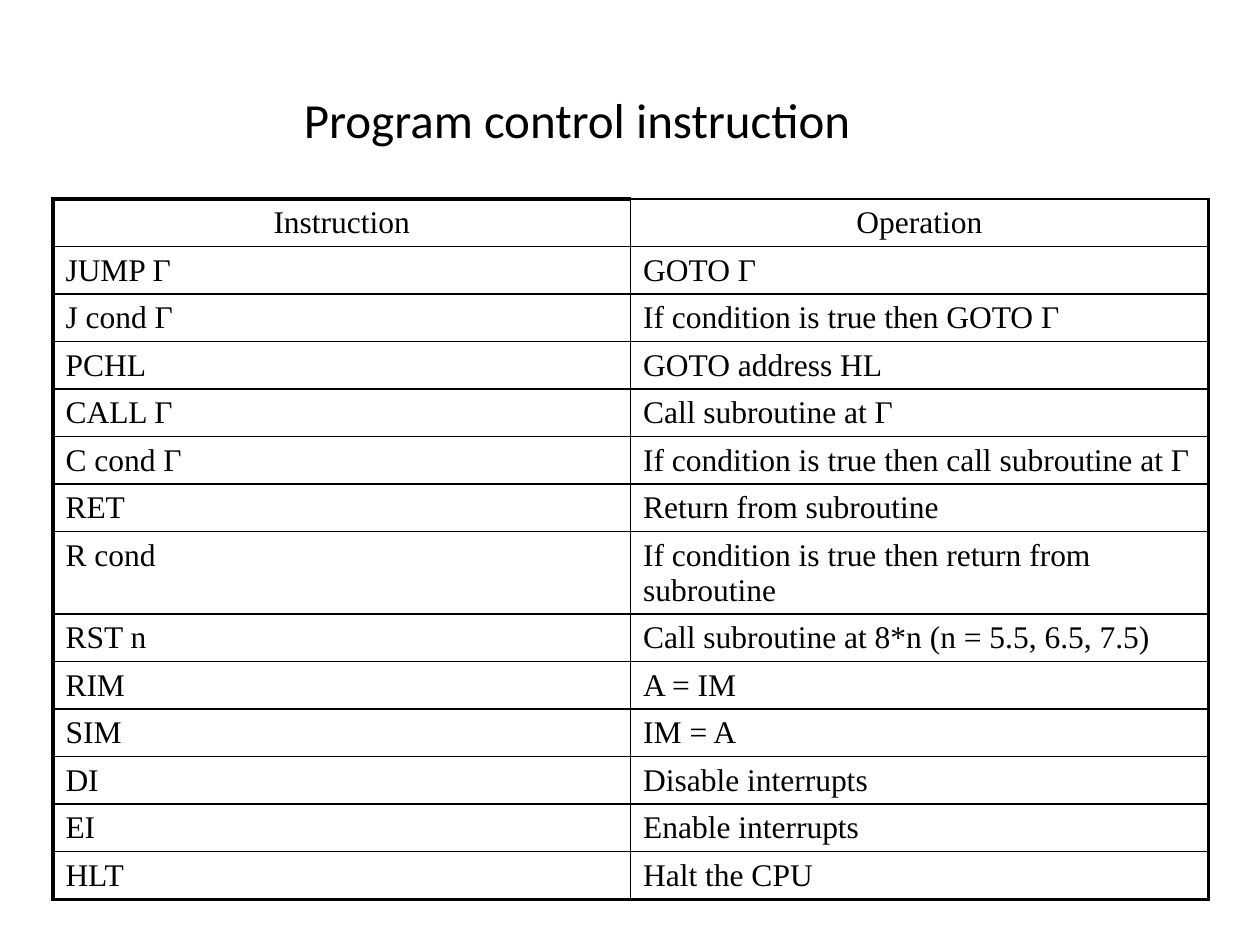
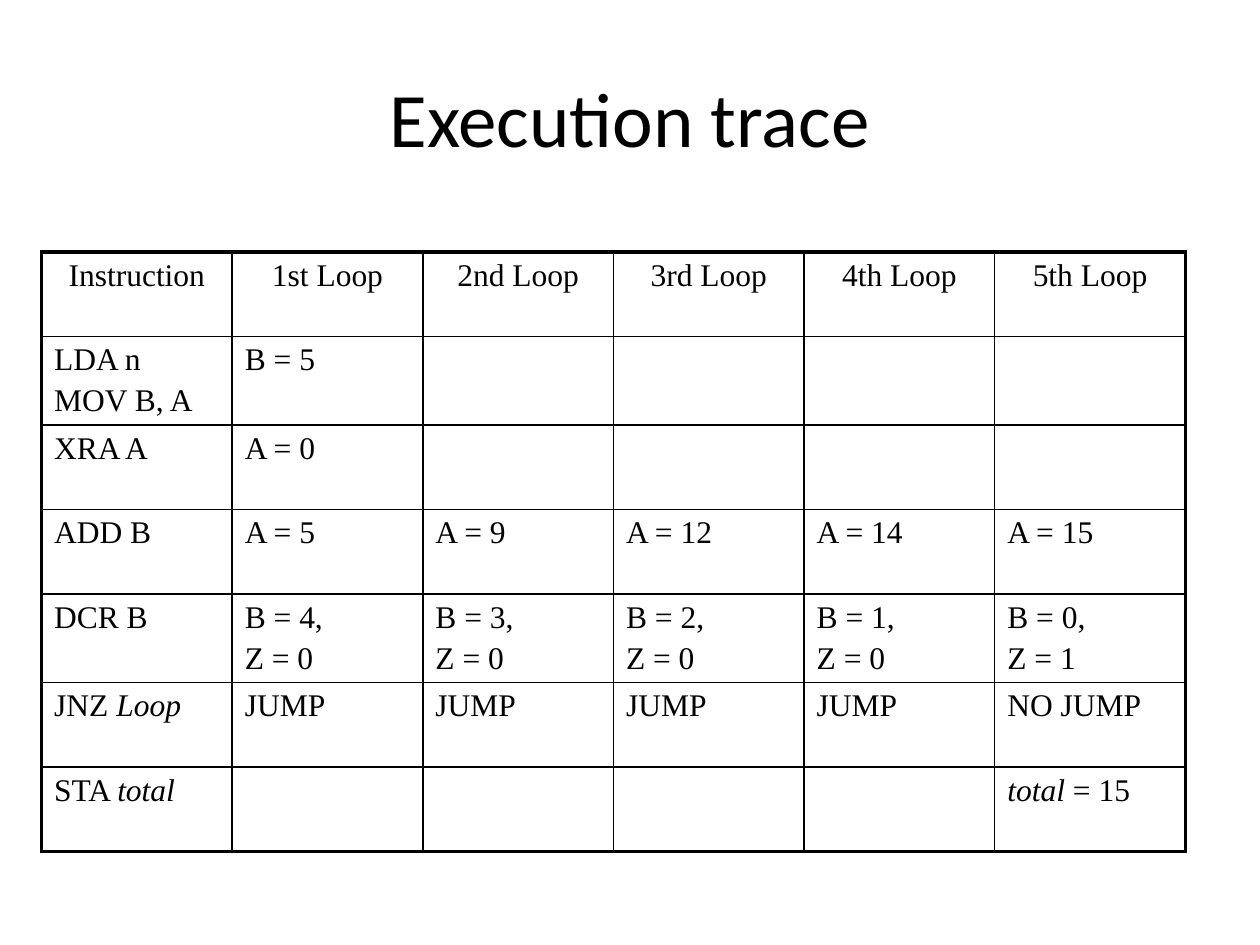
from lxml.etree import SubElement
from pptx import Presentation
from pptx.dml.color import RGBColor
from pptx.enum.text import MSO_ANCHOR, PP_ALIGN
from pptx.oxml.ns import qn
from pptx.util import Inches, Pt

COLORS = {"text": "000000", "border": "000000"}
TITLE_FONT = "Calibri"
TABLE_FONT = "Times New Roman"
TABLE_SIZE = 18
THIN, THICK = Pt(1), Pt(2.25)
TITLE_ONLY_LAYOUT = 5

CONTROL_ROWS = [
    ["Instruction", "Operation"],
    ["JUMP Γ", "GOTO Γ"],
    ["J cond Γ", "If condition is true then GOTO Γ"],
    ["PCHL", "GOTO address HL"],
    ["CALL Γ", "Call subroutine at Γ"],
    ["C cond Γ", "If condition is true then call subroutine at Γ"],
    ["RET", "Return from subroutine"],
    ["R cond", "If condition is true then return from subroutine"],
    ["RST n", "Call subroutine at 8*n (n = 5.5, 6.5, 7.5)"],
    ["RIM", "A = IM"],
    ["SIM", "IM = A"],
    ["DI", "Disable interrupts"],
    ["EI", "Enable interrupts"],
    ["HLT", "Halt the CPU"],
]

# Underscores enclose italic words; a line break starts a new paragraph.
TRACE_ROWS = [
    ["Instruction", "1st Loop", "2nd Loop", "3rd Loop", "4th Loop", "5th Loop"],
    ["LDA n\nMOV B, A", "B = 5", "", "", "", ""],
    ["XRA A", "A = 0", "", "", "", ""],
    ["ADD B", "A = 5", "A = 9", "A = 12", "A = 14", "A = 15"],
    ["DCR B", "B = 4,\nZ = 0", "B = 3,\nZ = 0", "B = 2,\nZ = 0",
     "B = 1,\nZ = 0", "B = 0,\nZ = 1"],
    ["JNZ _Loop_", "JUMP", "JUMP", "JUMP", "JUMP", "NO JUMP"],
    ["STA _total_", "", "", "", "", "_total_ = 15"],
]


def apply_format(target, values):
    """Set every attribute named in values on the target."""
    for name, value in values.items():
        setattr(target, name, value)


def format_font(font, name, size, italic=False):
    """Give a font its face, size, slant and the text colour."""
    apply_format(font, {"name": name, "size": Pt(size), "bold": False,
                        "italic": italic})
    font.color.rgb = RGBColor.from_string(COLORS["text"])


def add_title(slide, text, box, size, anchor, line_spacing=1.0):
    """Fill and place the title placeholder."""
    title = slide.shapes.title
    left, top, width, height = (Inches(length) for length in box)
    apply_format(title, {"left": left, "top": top,
                         "width": width, "height": height})
    apply_format(title.text_frame, {"text": text, "word_wrap": True,
                                    "vertical_anchor": anchor})
    paragraph = title.text_frame.paragraphs[0]
    apply_format(paragraph, {"alignment": PP_ALIGN.CENTER,
                             "line_spacing": line_spacing})
    format_font(paragraph.runs[0].font, TITLE_FONT, size)


def set_borders(cell, widths):
    """Draw solid cell borders; widths maps the sides L, R, T, B to lengths."""
    properties = cell._tc.get_or_add_tcPr()
    for side in "LRTB":
        line = SubElement(properties, qn(f"a:ln{side}"), w=str(widths[side]))
        fill = SubElement(line, qn("a:solidFill"))
        SubElement(fill, qn("a:srgbClr"), val=COLORS["border"])


def fill_cell(cell, text, alignment):
    """Write the paragraphs of a cell, with italic parts."""
    for index, line in enumerate(text.split("\n")):
        frame = cell.text_frame
        paragraph = frame.add_paragraph() if index else frame.paragraphs[0]
        apply_format(paragraph, {"alignment": alignment,
                                 "space_before": Pt(0.2 * TABLE_SIZE)})
        format_font(paragraph.font, TABLE_FONT, TABLE_SIZE)
        for part, words in enumerate(line.split("_")):
            if words:
                run = paragraph.add_run()
                run.text = words
                format_font(run.font, TABLE_FONT, TABLE_SIZE, part % 2 == 1)


def add_grid(slide, rows, left, top, width, row_height, thick_top_columns):
    """Add a plain table with thin inner lines and a thick outline."""
    row_count, column_count = len(rows), len(rows[0])
    table = slide.shapes.add_table(
        row_count, column_count, Inches(left), Inches(top),
        Inches(width), Inches(row_height * row_count)).table
    apply_format(table, {"first_row": False, "horz_banding": False})
    for row_index, row in enumerate(rows):
        alignment = PP_ALIGN.LEFT if row_index else PP_ALIGN.CENTER
        for column_index, text in enumerate(row):
            cell = table.cell(row_index, column_index)
            thick = {
                "L": column_index == 0,
                "R": column_index == column_count - 1,
                "T": row_index == 0 and column_index < thick_top_columns,
                "B": row_index == row_count - 1,
            }
            set_borders(cell, {side: THICK if is_thick else THIN
                               for side, is_thick in thick.items()})
            cell.fill.background()
            fill_cell(cell, text, alignment)


def add_slide(presentation):
    """Add a slide that has only a title."""
    layout = presentation.slide_layouts[TITLE_ONLY_LAYOUT]
    return presentation.slides.add_slide(layout)


def main():
    """Build both slides and save the presentation."""
    presentation = Presentation()
    apply_format(presentation, {"slide_width": Inches(10),
                                "slide_height": Inches(7.5)})

    slide = add_slide(presentation)
    add_title(slide, "Program control instruction", (0.33, 0.75, 8.5, 0.5),
              28, MSO_ANCHOR.TOP, 0.8)
    add_grid(slide, CONTROL_ROWS, 0.42, 1.58, 9.17, 0.32, thick_top_columns=1)

    slide = add_slide(presentation)
    add_title(slide, "Execution trace", (0.5, 0.3, 9, 1.25),
              44, MSO_ANCHOR.MIDDLE)
    add_grid(slide, TRACE_ROWS, 0.33, 2, 9.08, 0.67, thick_top_columns=6)

    presentation.save("out.pptx")


main()
